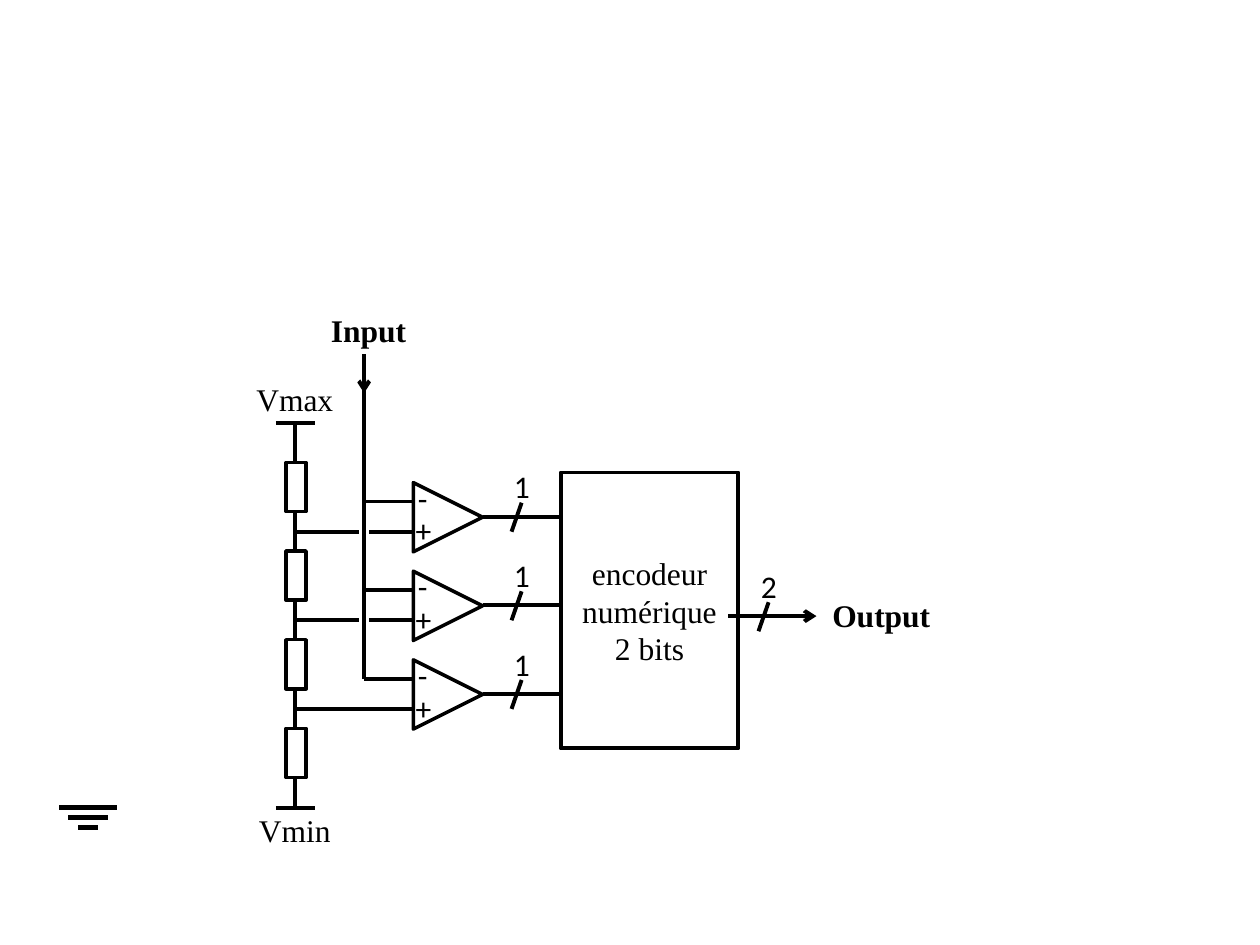
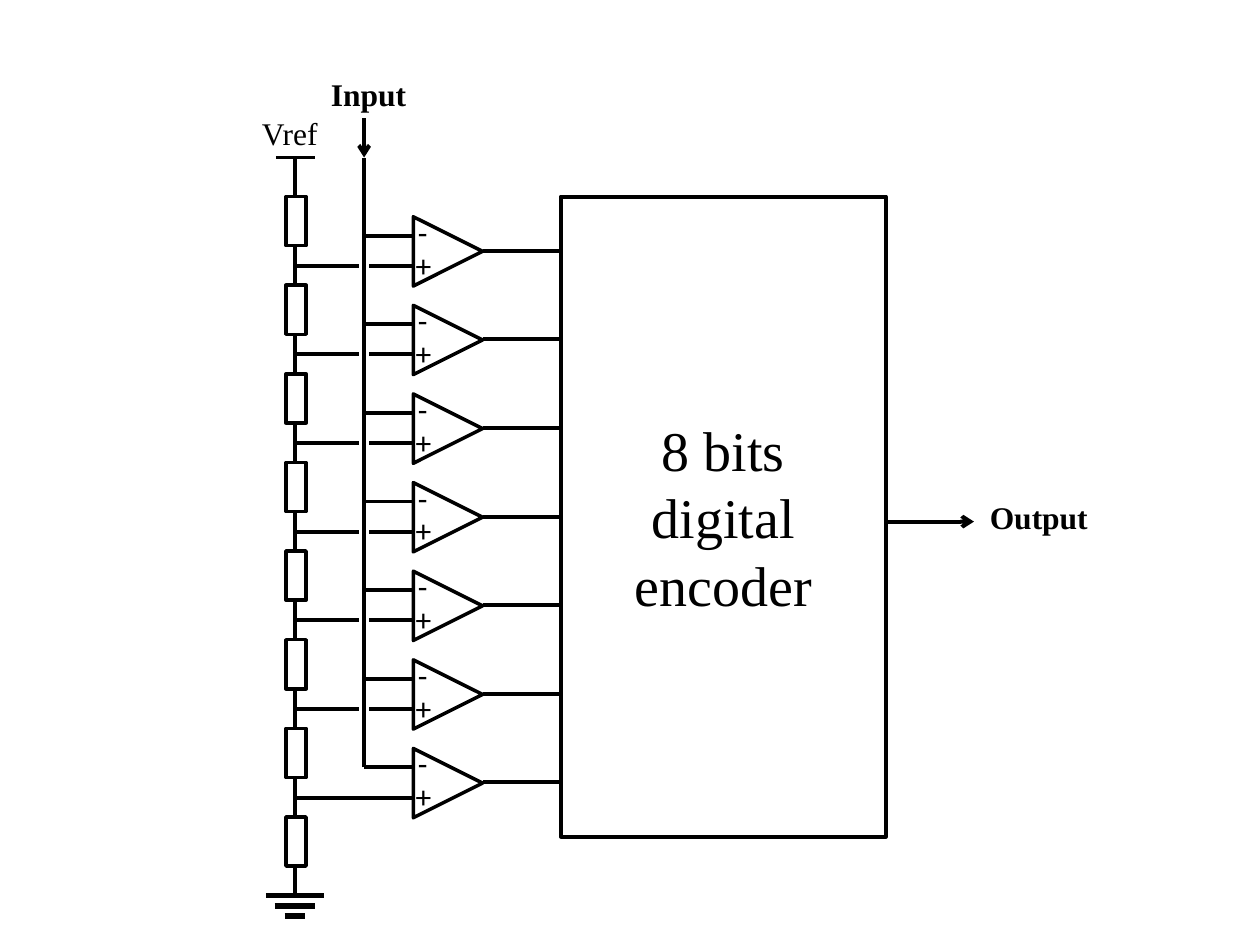
from lxml import etree
from pptx import Presentation
from pptx.dml.color import RGBColor
from pptx.enum.shapes import MSO_CONNECTOR, MSO_SHAPE
from pptx.enum.text import MSO_ANCHOR, MSO_AUTO_SIZE, PP_ALIGN
from pptx.oxml.ns import qn
from pptx.util import Inches, Pt

BLACK = RGBColor(0x00, 0x00, 0x00)
WHITE = RGBColor(0xFF, 0xFF, 0xFF)
SERIF = "Times New Roman"
SANS = "Calibri"

PITCH = 4.22 / 6
LADDER_X = 2.34
BUS_X = 2.89
COMP_X = 3.28
COMP_SIZE = 0.55
ENCODER_X = 4.45


def add_line(s, x1, y1, x2, y2, width=2.25, color=BLACK, arrow=False):
    cx = s.shapes.add_connector(MSO_CONNECTOR.STRAIGHT, Inches(x1), Inches(y1), Inches(x2), Inches(y2))
    cx.line.color.rgb = color
    cx.line.width = Pt(width)
    if arrow:
        etree.SubElement(cx.line._get_or_add_ln(), qn("a:tailEnd"), type="arrow")
    etree.SubElement(cx._element.spPr, qn("a:effectLst"))


def add_item(s, x, y, w, h, text="", preset=None, border=2.25, font=SERIF, size=18, bold=False, align=PP_ALIGN.CENTER):
    box = (Inches(x), Inches(y), Inches(w), Inches(h))
    if preset is None:
        sp = s.shapes.add_textbox(*box)
    else:
        sp = s.shapes.add_shape(preset, *box)
        sp.shadow.inherit = False
        sp.fill.solid()
        sp.fill.fore_color.rgb = WHITE
        sp.line.color.rgb = BLACK
        sp.line.width = Pt(border)
    if text:
        tf = sp.text_frame
        tf.word_wrap = True
        if preset is None:
            tf.auto_size = MSO_AUTO_SIZE.SHAPE_TO_FIT_TEXT
        else:
            tf.vertical_anchor = MSO_ANCHOR.MIDDLE
        p = tf.paragraphs[0]
        p.text = text
        p.alignment = align
        p.font.name = font
        p.font.size = Pt(size)
        p.font.bold = bold
        p.font.color.rgb = BLACK
    return sp


CIRCUITS = [
    {"comparators": 3, "top": 3.67, "input_y": 2.81, "bus_top": 2.97,
     "supply": ("Vmax", 1.87, 0.94), "ground": (0.7, 6.41), "low_label": "Vmin",
     "encoder": ("encodeur numérique 2 bits", 3.75, 1.41, 2.19, 18),
     "output": (4.89, 5.78, 6.41, 4.68), "bus_widths": True},
    {"comparators": 7, "top": 1.56, "input_y": 0.94, "bus_top": 1.25,
     "supply": ("Vref", 1.95, 0.7), "ground": (2.34, 7.11), "low_label": None,
     "encoder": ("8 bits\vdigital\vencoder", 1.56, 2.58, 5.08, 32),
     "output": (4.14, 7.03, 7.66, 3.9), "bus_widths": False},
]

prs = Presentation()
prs.slide_width = Inches(10)
prs.slide_height = Inches(7.5)

for c in CIRCUITS:
    s = prs.slides.add_slide(prs.slide_layouts[6])
    resistor_ys = [c["top"] + i * PITCH for i in range(c["comparators"] + 1)]
    stage_ys = resistor_ys[:-1]
    ladder_top = c["top"] - 0.31
    ladder_bottom = resistor_ys[-1] + 0.63
    bus_bottom = stage_ys[-1] + 0.31

    add_line(s, LADDER_X, ladder_bottom, LADDER_X, ladder_top)
    for y in stage_ys:
        add_line(s, LADDER_X, y + 0.55, COMP_X, y + 0.55)
    add_line(s, BUS_X, bus_bottom, BUS_X, 1.25, 6, WHITE)
    for y in resistor_ys:
        add_item(s, LADDER_X - 0.07, y, 0.16, 0.39, preset=MSO_SHAPE.RECTANGLE, border=2)

    ground_x, ground_y = c["ground"]
    for i, half in enumerate((0.23, 0.16, 0.08)):
        y = ground_y + i * 0.08
        add_line(s, ground_x - half, y, ground_x + half, y, 3)

    for y in stage_ys:
        sp = add_item(s, COMP_X, y + 0.16, COMP_SIZE, COMP_SIZE, preset=MSO_SHAPE.ISOSCELES_TRIANGLE, border=2)
        sp.rotation = 90
        for sign, dy in (("+", 0.34), ("-", 0.08)):
            add_item(s, 3.2, y + dy, 0.31, 0.4, sign, font=SANS)
        add_line(s, BUS_X, y + 0.31, COMP_X, y + 0.31)
        add_line(s, COMP_X + COMP_SIZE, y + 0.43, ENCODER_X + 0.3, y + 0.43)

    add_line(s, 2.19, ladder_top, 2.5, ladder_top)
    add_line(s, BUS_X, bus_bottom, BUS_X, c["bus_top"])
    add_line(s, BUS_X, c["input_y"], BUS_X, c["input_y"] + 0.31, arrow=True)
    label, x, w = c["supply"]
    add_item(s, x, ladder_top - 0.39, w, 0.4, label)
    add_item(s, 2.34, c["input_y"] - 0.39, 1.17, 0.4, "Input", bold=True)
    if c["low_label"]:
        add_line(s, 2.19, ladder_bottom, 2.5, ladder_bottom)
        add_item(s, 1.87, ladder_bottom - 0.02, 0.94, 0.4, c["low_label"])

    label, y, w, h, size = c["encoder"]
    add_item(s, ENCODER_X, y, w, h, label, MSO_SHAPE.RECTANGLE, size=size)
    out_y, out_x, label_x, label_y = c["output"]
    add_line(s, out_x, out_y, out_x + 0.7, out_y, arrow=True)
    add_item(s, label_x, label_y, 1.17, 0.4, "Output", bold=True)

    if c["bus_widths"]:
        marks = [("1", 4.06, y + 0.55) for y in stage_ys] + [("2", 6.02, out_y + 0.12)]
        for bits, x, y in marks:
            add_line(s, x, y, x + 0.08, y - 0.23)
            add_item(s, x - 0.08, y - 0.56, 0.23, 0.4, bits, font=SANS, align=PP_ALIGN.LEFT)

prs.save("out.pptx")
